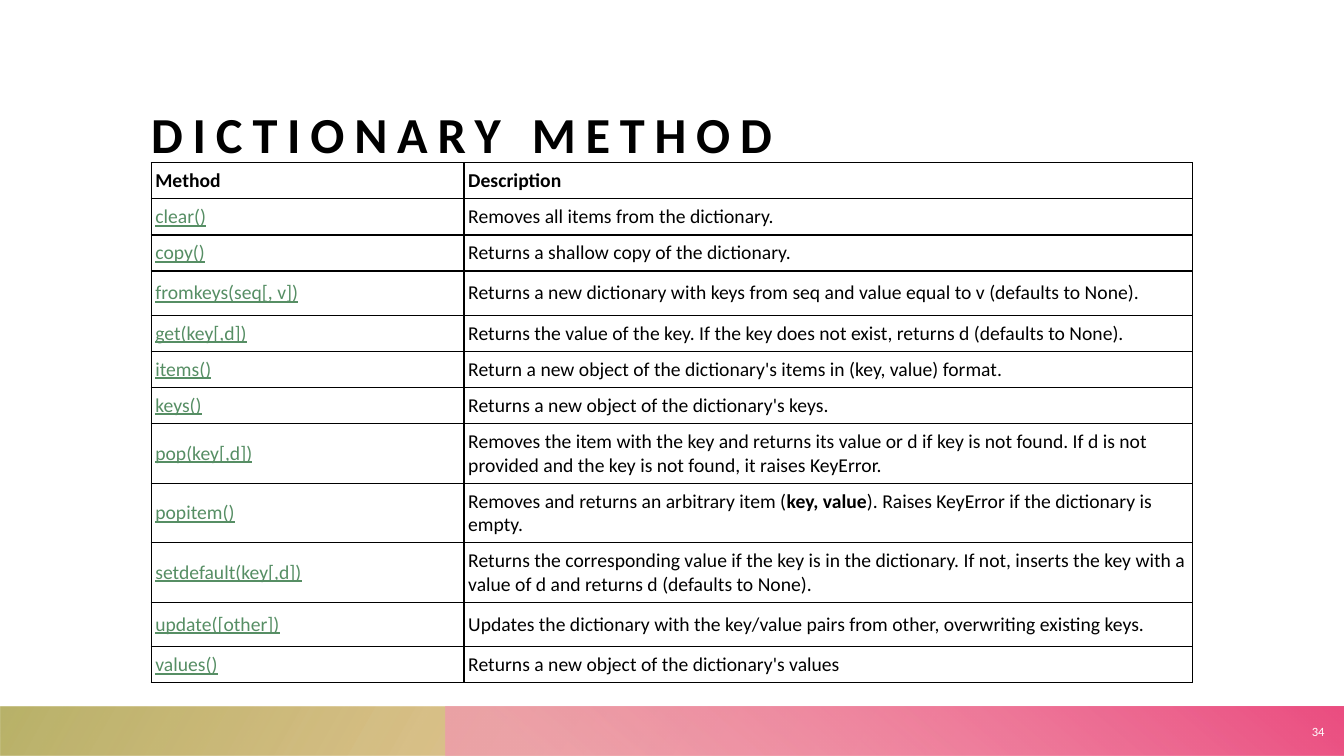
from dataclasses import dataclass
from lxml.etree import SubElement
from pptx import Presentation
from pptx.dml.color import RGBColor as RGB
from pptx.enum.shapes import MSO_SHAPE as Shape
from pptx.enum.text import MSO_ANCHOR as Anchor, PP_ALIGN as Align
from pptx.oxml import parse_xml
from pptx.oxml.ns import nsdecls, qn
from pptx.util import Pt

PX = 9525  # EMU in one px, 96 px to the inch


@dataclass(frozen=True)
class Theme:
    font: str = "Calibri"
    ink: str = "000000"
    paper: str = "FFFFFF"
    link: str = "568E64"
    # stops: position in percent, colour, opacity in percent
    olive: tuple = ((14, "E88F33", 28), (100, "ACA54F", 85))
    pink: tuple = ((9, "F395B3", 68), (99, "EB4E81", 100))
    title: int = 36
    body: int = 14
    small: int = 9


def write(frame, text, *, font, size, color, bold=False, line=False,
          space=0, align=Align.LEFT):
    """Fill the frame; a part between ** marks switches bold."""
    para = frame.paragraphs[0]
    para.alignment = align
    for i, part in enumerate(text.split("**")):
        run = para.add_run()
        run.text = part
        face = run.font
        face.name, face.size = font, Pt(size)
        face.color.rgb = RGB.from_string(color)
        face.bold = bold != (i % 2 == 1)
        face.underline = line
        if space:
            run._r.get_or_add_rPr().set("spc", str(space * 100))


class Deck:
    def __init__(self, theme):
        self.theme = theme
        self.show = Presentation()
        self.show.slide_width, self.show.slide_height = 1280 * PX, 720 * PX
        self.slide = self.show.slides.add_slide(self.show.slide_layouts[6])

    def box(self, area, text, *, anchor, inset=None, **style):
        frame = self.slide.shapes.add_textbox(*(n * PX for n in area)).text_frame
        frame.word_wrap = True
        frame.vertical_anchor = anchor
        if inset is not None:
            frame.margin_left = frame.margin_right = inset * PX
            frame.margin_top = frame.margin_bottom = inset * PX
        write(frame, text, font=self.theme.font, **style)

    def band(self, area, stops, angle, turn=0):
        """Draw a mirrored gradient bar; angle runs clockwise."""
        bar = self.slide.shapes.add_shape(Shape.RECTANGLE, *(n * PX for n in area))
        bar.shadow.inherit = False
        bar.line.fill.background()
        bar.rotation = turn
        props = bar._element.spPr
        props.find(qn("a:xfrm")).set("flipH", "1")
        bar.fill.gradient()
        bar.fill.gradient_angle = 360 - angle
        for stop, (place, color, _) in zip(bar.fill.gradient_stops, stops):
            stop.position = place / 100
            stop.color.rgb = RGB.from_string(color)
        for tone, (_, _, alpha) in zip(props.iter(qn("a:srgbClr")), stops):
            SubElement(tone, qn("a:alpha")).set("val", str(alpha * 1000))

    def table(self, left, top, cols, heights, rows):
        look = self.theme
        grid = self.slide.shapes.add_table(
            len(rows), len(cols), left * PX, top * PX,
            sum(cols) * PX, sum(heights) * PX).table
        grid.first_row = grid.horz_banding = False
        for col, width in zip(grid.columns, cols):
            col.width = width * PX
        for r, (row, height) in enumerate(zip(rows, heights)):
            grid.rows[r].height = height * PX
            for c, text in enumerate(row):
                link = r > 0 and c == 0
                self.cell(grid.cell(r, c), text, size=look.body, bold=r == 0,
                          color=look.link if link else look.ink, line=link)

    def cell(self, cell, text, **style):
        look = self.theme
        cell.margin_left = cell.margin_right = 4 * PX
        cell.margin_top = cell.margin_bottom = 6 * PX
        cell.vertical_anchor = Anchor.MIDDLE
        cell.fill.solid()
        cell.fill.fore_color.rgb = RGB.from_string(look.paper)
        write(cell.text_frame, text, font=look.font, **style)
        props = cell._tc.get_or_add_tcPr()
        for i, side in enumerate("LRTB"):
            props.insert(i, parse_xml(
                f'<a:ln{side} {nsdecls("a")} w="{Pt(1)}"><a:solidFill>'
                f'<a:srgbClr val="{look.ink}"/></a:solidFill></a:ln{side}>'))


METHODS = [
    ("Method", "Description"),
    ("clear()", "Removes all items from the dictionary."),
    ("copy()", "Returns a shallow copy of the dictionary."),
    ("fromkeys(seq[, v])", "Returns a new dictionary with keys from seq and "
     "value equal to v (defaults to None)."),
    ("get(key[,d])", "Returns the value of the key. If the key does not exist, "
     "returns d (defaults to None)."),
    ("items()", "Return a new object of the dictionary's items in "
     "(key, value) format."),
    ("keys()", "Returns a new object of the dictionary's keys."),
    ("pop(key[,d])", "Removes the item with the key and returns its value or d "
     "if key is not found. If d is not provided and the key is not found, "
     "it raises KeyError."),
    ("popitem()", "Removes and returns an arbitrary item (**key, value**). "
     "Raises KeyError if the dictionary is empty."),
    ("setdefault(key[,d])", "Returns the corresponding value if the key is in "
     "the dictionary. If not, inserts the key with a value of d and returns d "
     "(defaults to None)."),
    ("update([other])", "Updates the dictionary with the key/value pairs from "
     "other, overwriting existing keys."),
    ("values()", "Returns a new object of the dictionary's values"),
]
TALL = {"fromkeys", "pop", "popitem", "setdefault", "update"}


def main():
    look = Theme()
    deck = Deck(look)
    deck.box((144, 50, 992, 106), "DICTIONARY METHOD", anchor=Anchor.BOTTOM,
             inset=0, size=look.title, color=look.ink, bold=True, space=7)
    deck.band((0, 673, 1280, 47), look.olive, 150, turn=180)
    deck.band((424, 673, 856, 47), look.pink, 230)
    heights = [42 if name.split("(")[0] in TALL else 28 for name, _ in METHODS]
    deck.table(144, 155, (298, 694), heights, METHODS)
    deck.box((1225, 673, 46, 47), "34", anchor=Anchor.MIDDLE,
             size=look.small, color=look.paper, align=Align.RIGHT)
    deck.show.save("out.pptx")


if __name__ == "__main__":
    main()
